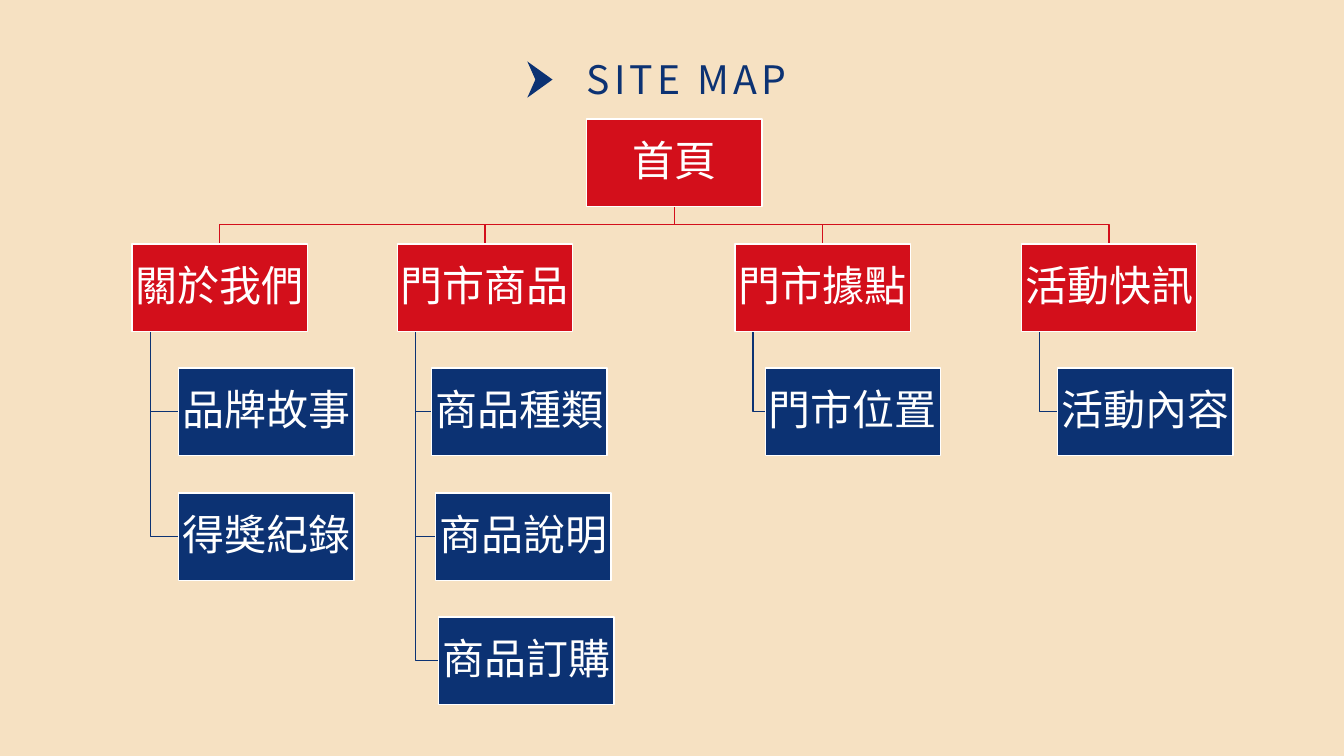
import pptx
import pptx.dml.color
import pptx.enum.shapes
import pptx.enum.text
import pptx.util

SCALE = 9144
BOX_WIDTH, BOX_HEIGHT = 174, 87
FIRST_TOP, ROW_STEP = 118, 123.6
HOME_LEFT = 582
TRUNK_INDENT = 18
BRANCHES = [
    (131, "關於我們", [(177, "品牌故事"), (177, "得獎紀錄")]),
    (394, "門市商品", [(428, "商品種類"), (432, "商品說明"), (435, "商品訂購")]),
    (729, "門市據點", [(759, "門市位置")]),
    (1013, "活動快訊", [(1049, "活動內容")]),
]


def px(length):
    return pptx.util.Emu(length * SCALE)


def color(value):
    return pptx.dml.color.RGBColor.from_string(value)


def row_top(row):
    return round(FIRST_TOP + row * ROW_STEP)


def write(frame, text, size, ink, font, align="LEFT", anchor="TOP",
          margins=(10, 5), line_spacing=None, space_after=None, tracking=None):
    frame.word_wrap = True
    frame.auto_size = pptx.enum.text.MSO_AUTO_SIZE.NONE
    frame.vertical_anchor = pptx.enum.text.MSO_ANCHOR[anchor]
    frame.margin_left = frame.margin_right = px(margins[0])
    frame.margin_top = frame.margin_bottom = px(margins[1])
    para = frame.paragraphs[0]
    para.alignment = pptx.enum.text.PP_ALIGN[align]
    para.line_spacing = line_spacing
    para.space_after = space_after
    span = para.add_run()
    span.text = text
    span.font.size = pptx.util.Pt(size)
    span.font.name = font
    span.font.color.rgb = color(ink)
    properties = span.font._element
    east_asian = properties.makeelement(pptx.oxml.ns.qn("a:ea"), {"typeface": font})
    properties.append(east_asian)
    if tracking:
        properties.set("spc", str(tracking * 100))


class SiteMap:
    font = "Noto Sans CJK SC"
    navy, red, white, sand = "0C3273", "D30F1B", "FFFFFF", "F6E1C2"

    def __init__(self, page):
        self.page = page
        page.background.fill.solid()
        page.background.fill.fore_color.rgb = color(self.sand)

    def title(self, text, left, top, width, height):
        box = self.page.shapes.title
        box.left, box.top, box.width, box.height = map(px, (left, top, width, height))
        write(box.text_frame, text, 28, self.navy, self.font, tracking=3)

    def outline(self, points, closed):
        builder = self.page.shapes.build_freeform(*points[0], scale=SCALE)
        builder.add_line_segments(points[1:], close=closed)
        shape = builder.convert_to_shape()
        shape.shadow.inherit = False
        return shape

    def chevron(self, points):
        shape = self.outline(points, True)
        shape.fill.solid()
        shape.fill.fore_color.rgb = color(self.navy)
        shape.line.fill.background()

    def link(self, points, ink):
        shape = self.outline(points, False)
        shape.fill.background()
        shape.line.color.rgb = color(ink)
        shape.line.width = pptx.util.Pt(1)

    def node(self, text, left, top, fill):
        box = self.page.shapes.add_shape(
            pptx.enum.shapes.MSO_SHAPE.RECTANGLE,
            px(left), px(top), px(BOX_WIDTH), px(BOX_HEIGHT))
        box.shadow.inherit = False
        box.fill.solid()
        box.fill.fore_color.rgb = color(fill)
        box.line.color.rgb = color(self.white)
        box.line.width = pptx.util.Pt(1)
        write(box.text_frame, text, 30, self.white, self.font, align="CENTER",
              anchor="MIDDLE", margins=(2, 2), line_spacing=0.9,
              space_after=pptx.util.Pt(10.5))


def main():
    deck = pptx.Presentation()
    deck.slide_width, deck.slide_height = px(1333), px(750)
    site_map = SiteMap(deck.slides.add_slide(deck.slide_layouts[5]))
    site_map.chevron([(548, 79), (523, 97), (531, 79), (523, 61)])
    site_map.title("SITE MAP", 572, 50, 239, 57)

    half = BOX_WIDTH // 2
    home_x, home_bottom = HOME_LEFT + half, row_top(0) + BOX_HEIGHT
    branch_top = row_top(1)
    bus_y = (home_bottom + branch_top) // 2
    for left, _, children in BRANCHES:
        branch_x = left + half
        site_map.link([(home_x, home_bottom), (home_x, bus_y),
                       (branch_x, bus_y), (branch_x, branch_top)], site_map.red)
        trunk_x = left + TRUNK_INDENT
        for row, (child_left, _) in enumerate(children, start=2):
            middle = row_top(row) + BOX_HEIGHT // 2
            site_map.link([(trunk_x, branch_top + BOX_HEIGHT),
                           (trunk_x, middle), (child_left, middle)], site_map.navy)

    site_map.node("首頁", HOME_LEFT, row_top(0), site_map.red)
    for left, label, children in BRANCHES:
        site_map.node(label, left, branch_top, site_map.red)
        for row, (child_left, child_label) in enumerate(children, start=2):
            site_map.node(child_label, child_left, row_top(row), site_map.navy)

    deck.save("out.pptx")


if __name__ == "__main__":
    main()
